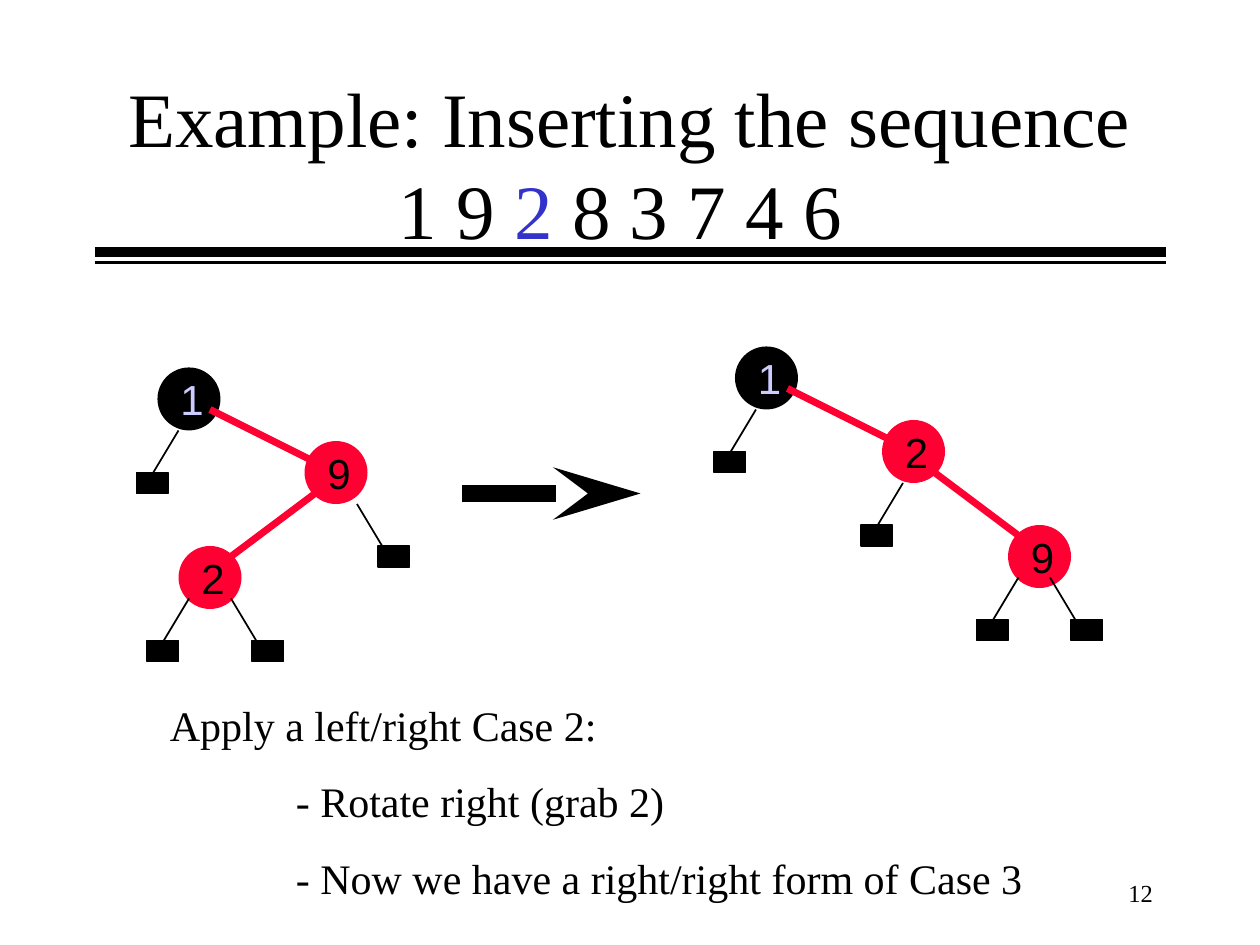
from lxml.etree import SubElement as add_tag
from pptx import Presentation as Deck
from pptx.dml.color import RGBColor as Color
from pptx.enum.shapes import MSO_CONNECTOR as Link, MSO_SHAPE as Shape
from pptx.enum.text import MSO_ANCHOR as Anchor, MSO_AUTO_SIZE as Fit, PP_ALIGN as Align
from pptx.oxml.ns import qn
from pptx.util import Pt

BLACK = Color(0, 0, 0)
RED = Color(255, 0, 51)
BLUE = Color(51, 51, 204)
PALE = Color(204, 204, 255)
SERIF = "Times New Roman"
SANS = "Arial"


class Board:
    def __init__(self, slide):
        self.slide = slide
        self.style = {"name": SERIF, "size": Pt(24)}
        self.frame = {"word_wrap": True, "vertical_anchor": Anchor.TOP,
                      "auto_size": Fit.SHAPE_TO_FIT_TEXT}
        self.block = {"space_before": Pt(15), "alignment": Align.LEFT}

    def apply(self, item, values):
        for key, value in values.items():
            setattr(item, key, value)

    def text(self, box, lines, font={}, frame={}, block={}):
        body = self.slide.shapes.add_textbox(*map(Pt, box)).text_frame
        self.apply(body, self.frame | frame)
        for place, runs in enumerate(lines):
            para = body.add_paragraph() if place else body.paragraphs[0]
            first = {} if place else {"space_before": Pt(0)}
            self.apply(para, self.block | block | first)
            stops = add_tag(para._p.get_or_add_pPr(), qn("a:tabLst"))
            add_tag(stops, qn("a:tab"), pos=str(Pt(72)), algn="l")
            for words, color in runs:
                run = para.add_run()
                run.text = words
                self.apply(run.font, self.style | font)
                run.font.color.rgb = color

    def line(self, start, end, color=BLACK, width=1, arrow=False):
        link = self.slide.shapes.add_connector(Link.STRAIGHT, *map(Pt, start + end))
        link.line.color.rgb = color
        link.line.width = Pt(width)
        if arrow:
            add_tag(link.line._get_or_add_ln(), qn("a:tailEnd"),
                    type="stealth", w="med", len="lg")
        add_tag(link._element.spPr, qn("a:effectLst"))

    def shape(self, kind, box, color, edge=True):
        form = self.slide.shapes.add_shape(kind, *map(Pt, box))
        form.shadow.inherit = False
        form.fill.solid()
        form.fill.fore_color.rgb = color
        if edge:
            form.line.color.rgb = color
            form.line.width = Pt(1)
        else:
            form.line.fill.background()

    def node(self, label, x, y, color=RED, ink=BLACK):
        edge = color == RED
        inset = 0.5 if edge else 0
        size = 36 - 2 * inset
        self.shape(Shape.OVAL, (x + inset, y + inset, size, size), color, edge)
        self.text((x + 6, y, 54, 36), [[(label, ink)]], {"name": SANS})

    def leaf(self, x, y, side):
        end = (x + 18 * side, y + 30)
        self.line((x, y), end)
        self.shape(Shape.RECTANGLE, (end[0] - 6, end[1] - 6, 18, 12), BLACK)

    def tree(self, nodes, links, leaves):
        for place, (label, x, y) in enumerate(nodes):
            if place:
                self.line(*links[place - 1], RED, 4)
                self.node(label, x, y)
            else:
                self.node(label, x, y, BLACK, PALE)
        for leaf in leaves:
            self.leaf(*leaf)


def main():
    deck = Deck()
    deck.slide_width, deck.slide_height = Pt(720), Pt(540)
    board = Board(deck.slides.add_slide(deck.slide_layouts[6]))

    for y, width in ((144, 6), (150, 2)):
        board.line((54, y), (666, y), width=width)
    fixed = {"auto_size": Fit.NONE, "vertical_anchor": Anchor.MIDDLE}
    title = [("Example: Inserting the sequence 1 9 ", BLACK), ("2", BLUE),
             (" 8 3 7 4 6 ", BLACK)]
    board.text((54, 48, 612, 90), [title], {"size": Pt(44)}, fixed,
               {"alignment": Align.CENTER})

    board.tree(
        [("1", 420, 198), ("2", 504, 240), ("9", 576, 300)],
        [((450, 222), (510, 252)), ((534, 270), (582, 306))],
        [(432, 234, -1), (516, 276, -1), (582, 330, -1), (600, 330, 1)])
    board.line((264, 282), (366, 282), width=10, arrow=True)
    board.tree(
        [("1", 90, 210), ("9", 174, 252), ("2", 102, 312)],
        [((120, 234), (180, 264)), ((180, 282), (132, 318))],
        [(102, 246, -1), (204, 288, 1), (108, 342, -1), (132, 342, 1)])

    notes = ["Apply a left/right Case 2:", "\t- Rotate right (grab 2)",
             "\t- Now we have a right/right form of Case 3"]
    board.text((90, 396, 576, 124), [[(note, BLACK)] for note in notes])
    board.text((516, 492, 150, 36), [[("12", BLACK)]], {"size": Pt(14)}, fixed,
               {"alignment": Align.RIGHT})
    deck.save("out.pptx")


if __name__ == "__main__":
    main()
